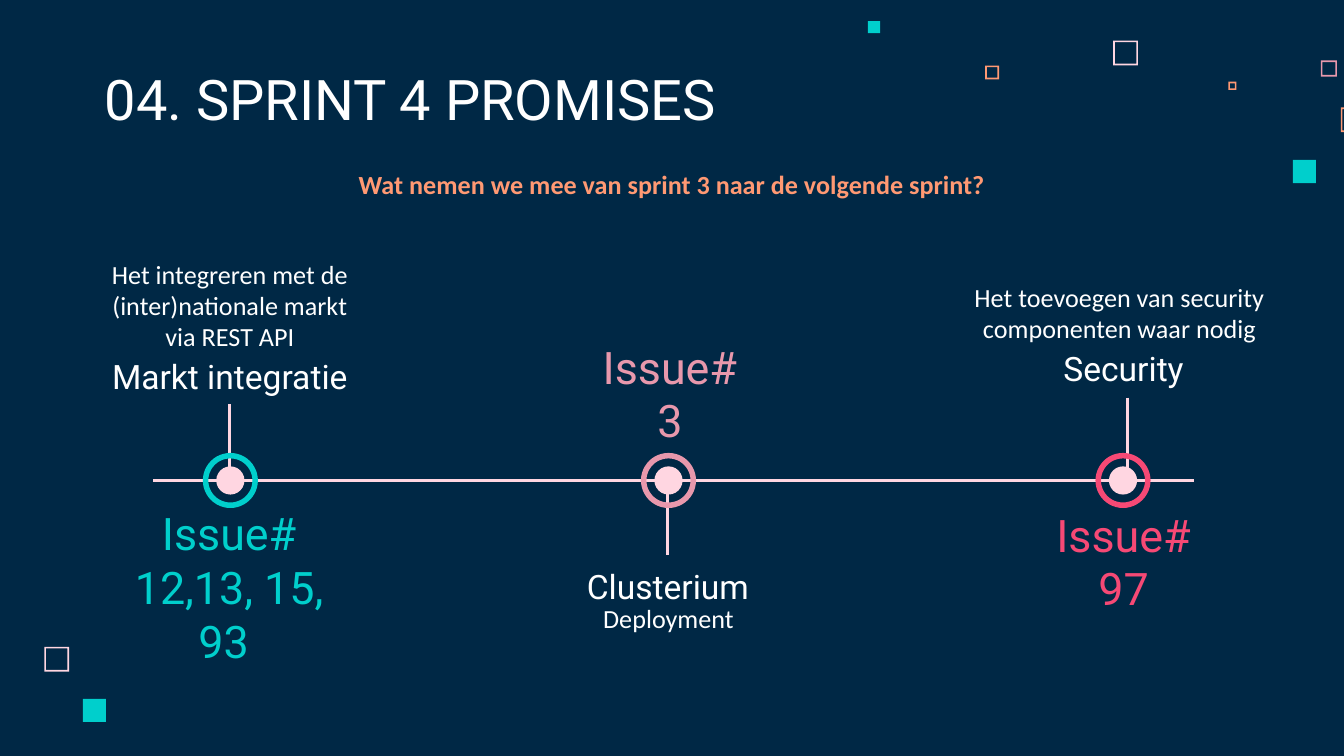
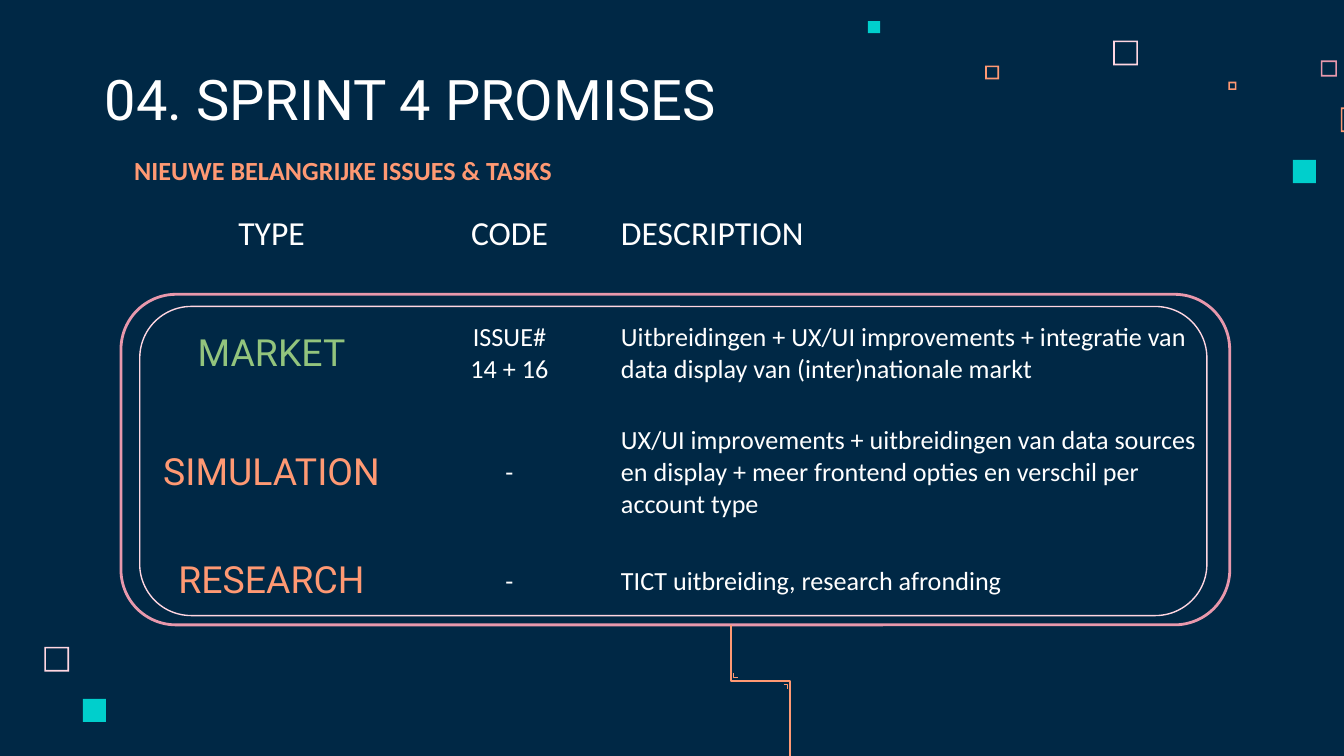
from lxml.etree import SubElement
from pptx import Presentation
from pptx.dml.color import RGBColor
from pptx.enum.shapes import MSO_CONNECTOR, MSO_SHAPE as Preset
from pptx.enum.text import MSO_ANCHOR as Anchor, MSO_AUTO_SIZE, PP_ALIGN as Align
from pptx.oxml.ns import qn
from pptx.util import Pt

NAVY = RGBColor(0x00, 0x28, 0x45)
WHITE = RGBColor(0xFF, 0xFF, 0xFF)
BLUSH = RGBColor(0xFF, 0xD6, 0xE1)
PINK = RGBColor(0xE8, 0x98, 0xAC)
ORANGE = RGBColor(0xFF, 0x99, 0x73)
TEAL = RGBColor(0x00, 0xCF, 0xCC)
RED = RGBColor(0xF6, 0x49, 0x75)
GREEN = RGBColor(0x93, 0xC4, 0x7D)

HEADING, BODY = "Roboto", "Calibri"
INSET = 7.2
NO_TABLE_STYLE = "{2D5ABB26-0587-4C30-8999-92F81FD0307C}"

TITLE = "04. SPRINT 4 PROMISES"
TITLE_BOX = (49, 32.4, 372.2, 45.4)

FRAME_THICKNESS = 0.85
SQUARES = [
    (Preset.FRAME, 596.4, 21.8, 13.2, BLUSH),
    (Preset.FRAME, 707.6, 32.4, 8.6, PINK),
    (Preset.FRAME, 658, 43.8, 4.4, ORANGE),
    (Preset.FRAME, 718.3, 57.6, 13.2, ORANGE),
    (Preset.RECTANGLE, 692.6, 85.7, 12.4, TEAL),
    (Preset.FRAME, 527.8, 35.1, 7.4, ORANGE),
    (Preset.RECTANGLE, 465, 11.3, 6.5, TEAL),
    (Preset.FRAME, 23.8, 346.6, 13.2, BLUSH),
    (Preset.RECTANGLE, 44.4, 374.4, 12.4, TEAL),
]

QUESTION = "Wat nemen we mee van sprint 3 naar de volgende sprint?"
QUESTION_BOX = (115.2, 82.8, 489.6, 31.7)
AXIS_Y, AXIS_LEFT, AXIS_RIGHT = 257.4, 82.1, 639.4
DOT, RING = 15.1, 29.5
MILESTONES = [
    {
        "x": 123.4, "color": TEAL, "stem": (123.1, 216.7, 252.7),
        "issue": ("Issue#\n12,13, 15, 93 ", (54.7, 297.4, 136.1, 33.8)),
        "name": ("Markt integratie", (49, 183.6, 148.3, 33.8), Anchor.TOP),
        "detail": ("Het integreren met de (inter)nationale markt via REST API",
                   (49, 144.7, 148.3, 51.1), Anchor.BOTTOM),
    },
    {
        "x": 358.1, "color": PINK, "stem": (357.8, 261.4, 297.4),
        "issue": ("Issue#\n3", (300.2, 193.7, 117.4, 33.8)),
        "name": ("Clusterium", (283.7, 298.1, 148.3, 33.8), Anchor.BOTTOM),
        "detail": ("Deployment", (275, 315.4, 166.3, 51.1), Anchor.TOP),
    },
    {
        "x": 601.6, "color": RED, "stem": (604.1, 213.1, 262.1),
        "issue": ("Issue#\n97", (537.8, 283.7, 128.2, 33.8)),
        "name": ("Security", (527.8, 179.3, 148.3, 33.8), Anchor.TOP),
        "detail": ("Het toevoegen van security componenten waar nodig",
                   (511.9, 140.4, 175.7, 51.1), Anchor.BOTTOM),
    },
]

TASKS_HEADING = "NIEUWE BELANGRIJKE ISSUES & TASKS"
TASKS_HEADING_BOX = (64.8, 75.6, 455.8, 31.7)
PANELS = [
    ((64.8, 157.7, 594, 177.1), PINK, 1.5),
    ((74.9, 164.2, 571.7, 165.6), BLUSH, 0.75),
]
TABLE_LEFT, TABLE_TOP = 70.6, 107.3
COLUMN_WIDTHS = [149.8, 105.1, 105.1, 221.8]
ROW_HEIGHTS = [51.1, 61.9, 51.1, 51.1]
TABLE_HEADER = ("TYPE", "CODE", "DESCRIPTION")
TASKS = [
    ("MARKET", GREEN, "ISSUE#\n14 + 16",
     "Uitbreidingen + UX/UI improvements + integratie van "
     "data display van (inter)nationale markt"),
    ("SIMULATION", ORANGE, "-",
     "UX/UI improvements + uitbreidingen van data sources en display + "
     "meer frontend opties en verschil per account type"),
    ("RESEARCH", ORANGE, "-", "TICT uitbreiding, research afronding"),
]
TRACES = [
    ([(391.7, 334.8), (391.7, 364.7), (423.4, 364.7), (423.4, 427)], 1),
    ([(419.8, 366.8), (421.9, 366.8), (421.9, 369.4)], 0.75),
    ([(393.1, 360.7), (393.1, 362.9), (395.3, 362.9)], 0.75),
]


def points(values):
    return [Pt(value) for value in values]


def write(frame, text, size, font, color, align=Align.CENTER, bold=False):
    paragraph = frame.paragraphs[0]
    paragraph.alignment = align
    for index, line in enumerate(text.split("\n")):
        if index:
            paragraph.add_line_break()
        run = paragraph.add_run()
        run.text = line
        run.font.size = Pt(size)
        run.font.name = font
        run.font.bold = bold
        run.font.color.rgb = color


def format_frame(frame, anchor):
    frame.word_wrap = True
    frame.auto_size = MSO_AUTO_SIZE.NONE
    frame.vertical_anchor = anchor
    frame.margin_left = frame.margin_right = Pt(INSET)
    frame.margin_top = frame.margin_bottom = Pt(INSET)


def add_text(slide, text, box, size, font, color, anchor=Anchor.TOP, **style):
    frame = slide.shapes.add_textbox(*points(box)).text_frame
    format_frame(frame, anchor)
    write(frame, text, size, font, color, **style)


def add_filled(slide, preset, box, color, adjustment=None):
    shape = slide.shapes.add_shape(preset, *points(box))
    shape.shadow.inherit = False
    shape.fill.solid()
    shape.fill.fore_color.rgb = color
    shape.line.fill.background()
    if adjustment is not None:
        shape.adjustments[0] = adjustment
    return shape


def outline(shape, color, width):
    shape.shadow.inherit = False
    shape.fill.background()
    shape.line.color.rgb = color
    shape.line.width = Pt(width)


def add_line(slide, *ends):
    line = slide.shapes.add_connector(MSO_CONNECTOR.STRAIGHT, *points(ends))
    line.line.color.rgb = BLUSH
    line.line.width = Pt(1.5)
    SubElement(line.element.spPr, qn("a:effectLst"))


def add_circle(slide, preset, x, size, color, adjustment=None):
    box = (x - size / 2, AXIS_Y - size / 2, size, size)
    add_filled(slide, preset, box, color, adjustment)


def add_slide(presentation, layout):
    slide = presentation.slides.add_slide(layout)
    title = slide.shapes.title
    title.left, title.top, title.width, title.height = points(TITLE_BOX)
    format_frame(title.text_frame, Anchor.BOTTOM)
    write(title.text_frame, TITLE, 30, HEADING, WHITE, Align.LEFT)
    return slide


def decorate(layout, slide):
    for preset, left, top, size, color in SQUARES:
        adjustment = FRAME_THICKNESS / size if preset == Preset.FRAME else None
        square = add_filled(slide, preset, (left, top, size, size), color, adjustment)
        layout.shapes.element.append(square.element)


def build_timeline(slide):
    add_text(slide, QUESTION, QUESTION_BOX, 14, BODY, ORANGE, bold=True)
    add_line(slide, AXIS_LEFT, AXIS_Y, AXIS_RIGHT, AXIS_Y)
    for milestone in MILESTONES:
        x, top, bottom = milestone["stem"]
        add_line(slide, x, top, x, bottom)
        add_circle(slide, Preset.OVAL, milestone["x"], DOT, BLUSH)
        add_circle(slide, Preset.DONUT, milestone["x"], RING, milestone["color"], 0.1)
        text, box = milestone["issue"]
        add_text(slide, text, box, 24, HEADING, milestone["color"], Anchor.MIDDLE)
        for key, size, font in (("name", 18, HEADING), ("detail", 14, BODY)):
            text, box, anchor = milestone[key]
            add_text(slide, text, box, size, font, WHITE, anchor)


def build_table(slide):
    box = (TABLE_LEFT, TABLE_TOP, sum(COLUMN_WIDTHS), sum(ROW_HEIGHTS))
    graphic = slide.shapes.add_table(len(ROW_HEIGHTS), len(COLUMN_WIDTHS), *points(box))
    graphic.element.find(".//" + qn("a:tableStyleId")).text = NO_TABLE_STYLE
    table = graphic.table
    table.first_row = table.horz_banding = False
    for column, width in zip(table.columns, COLUMN_WIDTHS):
        column.width = Pt(width)
    for row, height in zip(table.rows, ROW_HEIGHTS):
        row.height = Pt(height)
    rows = [[(text, 18, BODY, WHITE) for text in TABLE_HEADER]]
    for kind, color, code, description in TASKS:
        rows.append([(kind, 20, HEADING, color), (code, 14, BODY, WHITE),
                     (description, 14, BODY, WHITE)])
    for row_index, row in enumerate(rows):
        table.cell(row_index, 2).merge(table.cell(row_index, 3))
        for column_index, content in enumerate(row):
            cell = table.cell(row_index, column_index)
            cell.fill.background()
            cell.margin_left = cell.margin_right = Pt(INSET)
            cell.margin_top = cell.margin_bottom = Pt(INSET)
            cell.vertical_anchor = Anchor.MIDDLE if row_index else Anchor.TOP
            align = Align.LEFT if column_index == 2 else Align.CENTER
            write(cell.text_frame, *content, align=align)


def build_tasks(slide):
    for box, color, width in PANELS:
        panel = slide.shapes.add_shape(Preset.ROUNDED_RECTANGLE, *points(box))
        outline(panel, color, width)
    build_table(slide)
    for trace, width in TRACES:
        corners = [points(corner) for corner in trace]
        builder = slide.shapes.build_freeform(*corners[0])
        builder.add_line_segments(corners[1:], close=False)
        outline(builder.convert_to_shape(), ORANGE, width)
    add_text(slide, TASKS_HEADING, TASKS_HEADING_BOX, 14, BODY, ORANGE,
             align=Align.LEFT, bold=True)


def main():
    """Build the two sprint slides and save them."""
    presentation = Presentation()
    presentation.slide_width, presentation.slide_height = Pt(720), Pt(405)
    background = presentation.slide_master.background.fill
    background.solid()
    background.fore_color.rgb = NAVY
    layout = presentation.slide_layouts.get_by_name("Title Only")
    timeline = add_slide(presentation, layout)
    decorate(layout, timeline)
    build_timeline(timeline)
    build_tasks(add_slide(presentation, layout))
    presentation.save("out.pptx")


if __name__ == "__main__":
    main()
